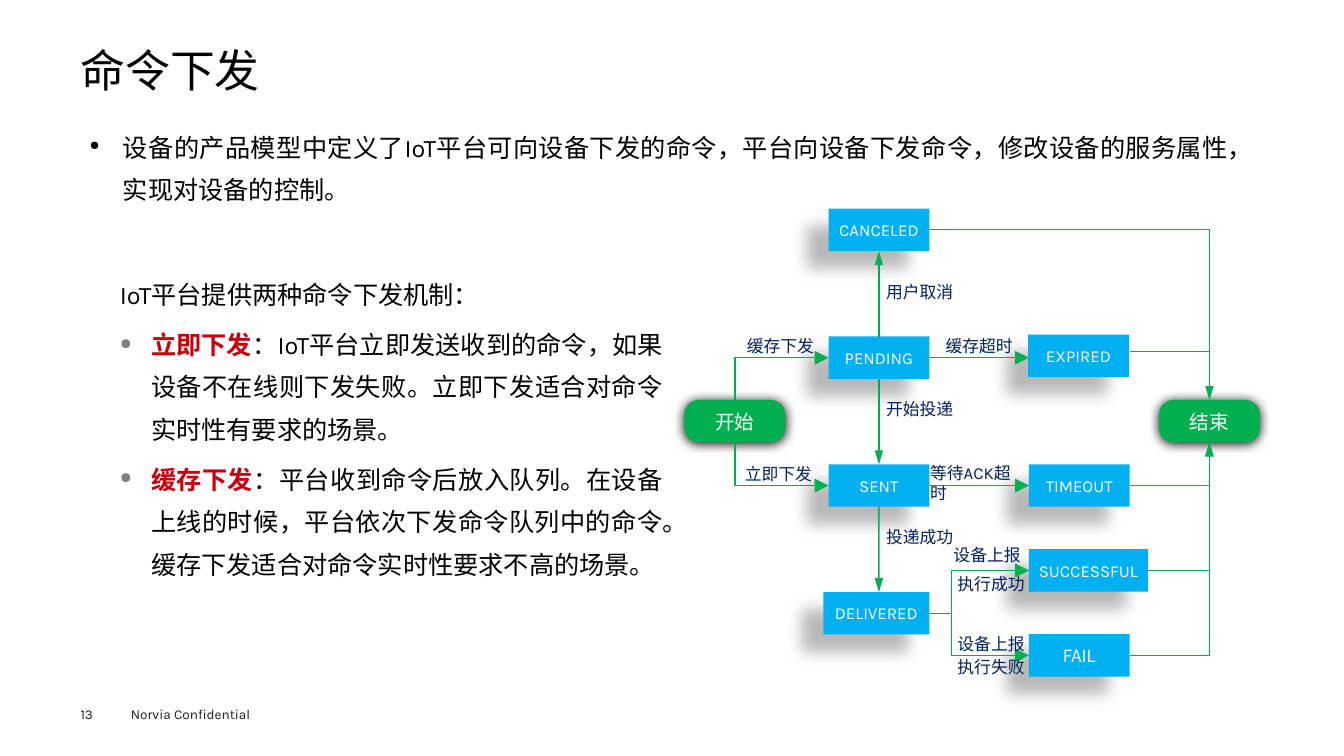
from dataclasses import dataclass
from typing import Optional

from lxml import etree
from pptx import Presentation
from pptx.dml.color import RGBColor
from pptx.enum.shapes import MSO_CONNECTOR, MSO_SHAPE
from pptx.enum.text import MSO_ANCHOR, PP_ALIGN
from pptx.oxml.ns import qn
from pptx.util import Cm, Pt

RECT, ROUNDED = MSO_SHAPE.RECTANGLE, MSO_SHAPE.ROUNDED_RECTANGLE
STRAIGHT = MSO_CONNECTOR.STRAIGHT
LEFT, CENTER, JUSTIFY = PP_ALIGN.LEFT, PP_ALIGN.CENTER, PP_ALIGN.JUSTIFY
MIDDLE = MSO_ANCHOR.MIDDLE
TOP_SIDE, LEFT_SIDE, BOTTOM_SIDE, RIGHT_SIDE = range(4)


@dataclass(frozen=True)
class Theme:
    font: str = "Karla"
    cjk_font: str = "Noto Sans CJK SC"
    black: str = "000000"
    white: str = "FFFFFF"
    footer: str = "1D1D1B"
    accent: str = "C7000B"
    bullet: str = "808080"
    state: str = "00B0F0"
    flow: str = "00B050"
    label: str = "002060"
    title_size: float = 32
    body_size: float = 18
    terminal_size: float = 14
    label_size: float = 12
    footer_size: float = 9.7


@dataclass(frozen=True)
class Shadow:
    alpha: int
    blur: float
    distance: float
    angle: int


@dataclass(frozen=True)
class Run:
    text: str
    size: float
    color: str
    bold: bool = False
    font: str = "Karla"


@dataclass(frozen=True)
class Para:
    runs: list[Run]
    align: PP_ALIGN = LEFT
    spacing: float = 1.0
    before: float = 0
    indent: float = 0
    bullet_size: int = 0
    bullet_color: str = "000000"


@dataclass(frozen=True)
class Node:
    name: str
    x: float
    y: float
    w: float = 2.54
    h: float = 1.07
    terminal: bool = False
    font: str = "Karla"


@dataclass(frozen=True)
class Label:
    text: str
    x: float
    y: float
    w: float = 1.9


@dataclass(frozen=True)
class Flow:
    points: list[tuple[float, float]]
    begin: Optional[tuple[str, int]] = None
    end: Optional[tuple[str, int]] = None
    width: float = 1
    arrow: bool = True


T = Theme()
STATE_SHADOW = Shadow(28, 11.8, 19.7, 141)
TERMINAL_SHADOW = Shadow(100, 8.5, 1, 90)

MAIN_X, RESULT_X, START_X, END_X = 20.88, 25.93, 17.25, 29.21
CANCELED_Y, PENDING_Y, SENT_Y, DELIVERED_Y = (5.26 + 3.22 * i for i in range(4))
TERMINAL_Y, SUCCESS_Y, FAIL_Y = 10.08, 13.84, 15.98
BOX_W, BOX_H = 2.54, 1.07
HALF = BOX_H / 2
MAIN_MID, MAIN_RIGHT = MAIN_X + BOX_W / 2, MAIN_X + BOX_W
START_MID, END_MID = START_X + BOX_W / 2, END_X + BOX_W / 2
RESULT_RIGHT, FORK_X, EXPIRED_OUT_Y = RESULT_X + BOX_W, 23.98, 8.87

NODES = [
    Node("CANCELED", MAIN_X, CANCELED_Y),
    Node("PENDING", MAIN_X, PENDING_Y),
    Node("SENT", MAIN_X, SENT_Y),
    Node("DELIVERED", 20.75, DELIVERED_Y, w=2.67),
    Node("EXPIRED", 25.91, 8.43),
    Node("TIMEOUT", RESULT_X, SENT_Y),
    Node("SUCCESSFUL", RESULT_X, SUCCESS_Y, w=3),
    Node("FAIL", RESULT_X, FAIL_Y, font=T.cjk_font),
    Node("开始", START_X, TERMINAL_Y, terminal=True),
    Node("结束", END_X, TERMINAL_Y, terminal=True),
]

FLOWS = [
    Flow([(MAIN_MID, PENDING_Y), (MAIN_MID, CANCELED_Y + BOX_H)],
         ("PENDING", TOP_SIDE), ("CANCELED", BOTTOM_SIDE)),
    Flow([(MAIN_MID, PENDING_Y + BOX_H), (MAIN_MID, SENT_Y)],
         ("PENDING", BOTTOM_SIDE), ("SENT", TOP_SIDE)),
    Flow([(MAIN_MID, SENT_Y + BOX_H), (MAIN_MID, DELIVERED_Y)], ("SENT", BOTTOM_SIDE)),
    Flow([(MAIN_RIGHT, PENDING_Y + HALF), (RESULT_X, PENDING_Y + HALF)],
         ("PENDING", RIGHT_SIDE)),
    Flow([(MAIN_RIGHT, SENT_Y + HALF), (RESULT_X, SENT_Y + HALF)],
         ("SENT", RIGHT_SIDE), ("TIMEOUT", LEFT_SIDE)),
    Flow([(RESULT_RIGHT, EXPIRED_OUT_Y), (END_MID, EXPIRED_OUT_Y)], width=0.75, arrow=False),
    Flow([(MAIN_RIGHT, CANCELED_Y + HALF), (END_MID, CANCELED_Y + HALF), (END_MID, TERMINAL_Y)],
         width=0.75),
]
FLOWS += [Flow([(START_MID, edge), (START_MID, y + HALF), (MAIN_X, y + HALF)])
          for edge, y in ((TERMINAL_Y, PENDING_Y), (TERMINAL_Y + BOX_H, SENT_Y))]
FLOWS += [Flow([(MAIN_RIGHT, DELIVERED_Y + HALF), (FORK_X, DELIVERED_Y + HALF),
                (FORK_X, y + HALF), (RESULT_X, y + HALF)]) for y in (SUCCESS_Y, FAIL_Y)]
FLOWS += [Flow([(x, y + HALF), (END_MID, y + HALF), (END_MID, TERMINAL_Y + BOX_H)])
          for x, y in ((RESULT_RIGHT, SENT_Y), (RESULT_X + 3, SUCCESS_Y), (RESULT_RIGHT, FAIL_Y))]

LABELS = [
    Label("缓存下发", 18.82, 8.46), Label("立即下发", 18.77, 11.68),
    Label("用户取消", 22.33, 7.11), Label("缓存超时", 23.83, 8.46),
    Label("等待ACK超时", 23.44, 11.66, 2.45), Label("开始投递", 22.33, 10.06),
    Label("投递成功", 22.33, 13.28), Label("设备上报", 24.03, 13.72),
    Label("执行成功", 24.13, 14.45), Label("设备上报", 24.13, 15.98),
    Label("执行失败", 24.13, 16.56),
]

INTRO = "设备的产品模型中定义了IoT平台可向设备下发的命令，平台向设备下发命令，修改设备的服务属性，实现对设备的控制。"
MECHANISMS = [
    ("立即下发", "：IoT平台立即发送收到的命令，如果设备不在线则下发失败。立即下发适合对命令实时性有要求的场景。"),
    ("缓存下发", "：平台收到命令后放入队列。在设备上线的时候，平台依次下发命令队列中的命令。缓存下发适合对命令实时性要求不高的场景。"),
]


def fill_text(tf, paras: list[Para], inset: tuple[float, float] = (0, 0)) -> None:
    tf.word_wrap = True
    tf.margin_left = tf.margin_right = Cm(inset[0])
    tf.margin_top = tf.margin_bottom = Cm(inset[1])
    for i, para in enumerate(paras):
        p = tf.paragraphs[0] if i == 0 else tf.add_paragraph()
        p.alignment, p.line_spacing, p.space_before = para.align, para.spacing, Pt(para.before)
        pPr = p._p.get_or_add_pPr()
        pPr.set("hangingPunct", "1")
        if para.bullet_size:
            pPr.set("marL", str(Cm(para.indent)))
            pPr.set("indent", str(-Cm(para.indent)))
            color = etree.SubElement(pPr, qn("a:buClr"))
            etree.SubElement(color, qn("a:srgbClr"), val=para.bullet_color)
            etree.SubElement(pPr, qn("a:buSzPct"), val=str(para.bullet_size * 1000))
            etree.SubElement(pPr, qn("a:buChar"), char="●")
        for run in para.runs:
            r = p.add_run()
            r.text = run.text
            r.font.size, r.font.bold, r.font.name = Pt(run.size), run.bold, run.font
            r.font.color.rgb = RGBColor.from_string(run.color)
            etree.SubElement(r._r.get_or_add_rPr(), qn("a:ea"), typeface=run.font)


def add_text(slide, x: float, y: float, w: float, h: float, paras: list[Para],
             inset: tuple[float, float] = (0, 0)) -> None:
    box = slide.shapes.add_textbox(Cm(x), Cm(y), Cm(w), Cm(h))
    fill_text(box.text_frame, paras, inset)


def add_node(slide, node: Node):
    kind, color, size, shadow = (
        (ROUNDED, T.flow, T.terminal_size, TERMINAL_SHADOW) if node.terminal
        else (RECT, T.state, T.label_size, STATE_SHADOW))
    sp = slide.shapes.add_shape(kind, Cm(node.x), Cm(node.y), Cm(node.w), Cm(node.h))
    if node.terminal:
        sp.adjustments[0] = 0.34
    sp.fill.solid()
    sp.fill.fore_color.rgb = RGBColor.from_string(color)
    sp.line.fill.background()
    sp.shadow.inherit = False
    outer = etree.SubElement(
        sp.element.spPr.find(qn("a:effectLst")), qn("a:outerShdw"),
        blurRad=str(Pt(shadow.blur)), dist=str(Pt(shadow.distance)),
        dir=str(shadow.angle * 60000), algn="ctr", rotWithShape="0")
    tint = etree.SubElement(outer, qn("a:srgbClr"), val=T.black)
    etree.SubElement(tint, qn("a:alpha"), val=str(shadow.alpha * 1000))
    sp.text_frame.vertical_anchor = MIDDLE
    fill_text(sp.text_frame, [Para([Run(node.name, size, T.white, font=node.font)], CENTER)])
    return sp


def add_flow(slide, flow: Flow, nodes: dict) -> None:
    points = [(Cm(x), Cm(y)) for x, y in flow.points]
    if len(points) == 2:
        sp = slide.shapes.add_connector(STRAIGHT, *points[0], *points[1])
        if flow.begin:
            sp.begin_connect(nodes[flow.begin[0]], flow.begin[1])
        if flow.end:
            sp.end_connect(nodes[flow.end[0]], flow.end[1])
    else:
        builder = slide.shapes.build_freeform(*points[0])
        builder.add_line_segments(points[1:], close=False)
        sp = builder.convert_to_shape()
        sp.fill.background()
    sp.line.color.rgb = RGBColor.from_string(T.flow)
    sp.line.width = Pt(flow.width)
    spPr = sp.element.spPr
    if flow.arrow:
        vertical = flow.points[-1][0] == flow.points[-2][0]
        etree.SubElement(spPr.find(qn("a:ln")), qn("a:tailEnd"), type="triangle",
                         w="med" if vertical else "lg", len="lg")
    etree.SubElement(spPr, qn("a:effectLst"))


def main() -> None:
    prs = Presentation()
    prs.slide_width, prs.slide_height = Cm(33.87), Cm(19.05)
    slide = prs.slides.add_slide(prs.slide_layouts[6])
    add_text(slide, 2.03, 17.78, 1.2, 0.41, [Para([Run("13", T.footer_size, T.footer)])])
    add_text(slide, 3.3, 17.78, 5, 0.41,
             [Para([Run("Norvia Confidential", T.footer_size, T.footer)])])
    add_text(slide, 2.03, 1.24, 29.8, 1.35,
             [Para([Run("命令下发", T.title_size, T.black)], spacing=0.9)])
    add_text(slide, 2.03, 2.92, 29.8, 2.4,
             [Para([Run(INTRO, T.body_size, T.black)], JUSTIFY, 1.4, 7.9, 0.84, 50)], (0.23, 0.1))
    heading = Para([Run("IoT平台提供两种命令下发机制：", T.body_size, T.black)], JUSTIFY, 1.4, 5.7)
    items = [Para([Run(term, T.body_size, T.accent, True), Run(detail, T.body_size, T.black)],
                  JUSTIFY, 1.4, 5.7, 0.79, 60, T.bullet) for term, detail in MECHANISMS]
    add_text(slide, 2.79, 6.63, 14.15, 8.79, [heading, *items], (0.23, 0.1))
    nodes = {node.name: add_node(slide, node) for node in NODES}
    for flow in FLOWS:
        add_flow(slide, flow, nodes)
    for label in LABELS:
        add_text(slide, label.x, label.y, label.w, 0.51,
                 [Para([Run(label.text, T.label_size, T.label)])])
    prs.save("out.pptx")


if __name__ == "__main__":
    main()
